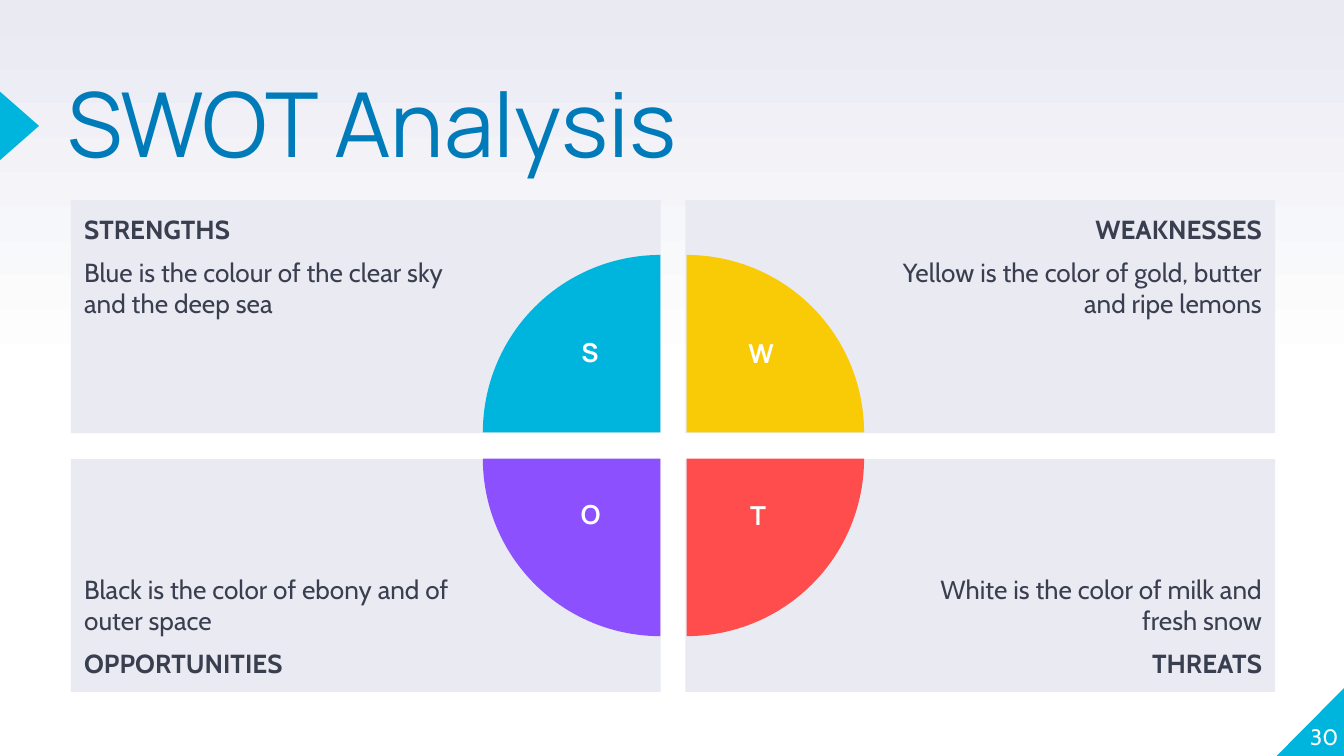
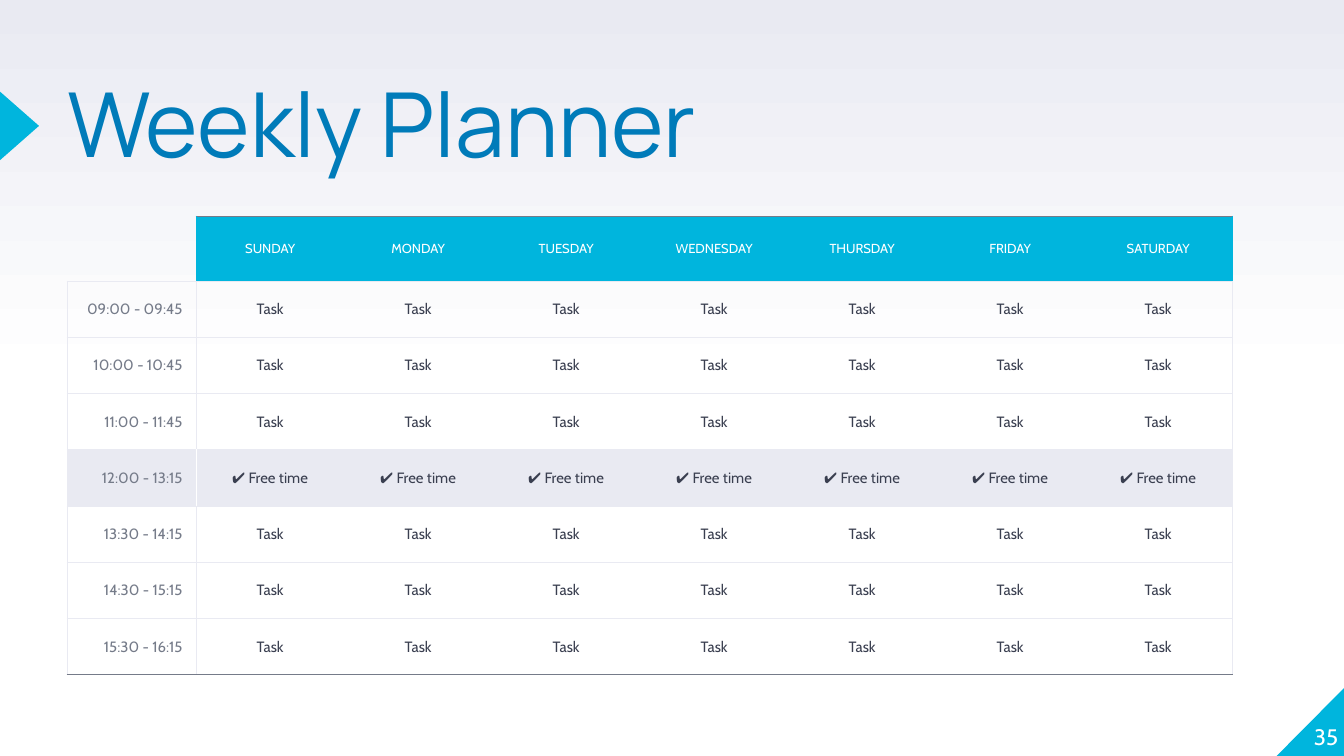
from typing import NamedTuple, Optional

from lxml import etree
from pptx import Presentation
from pptx.dml.color import RGBColor
from pptx.enum.shapes import MSO_SHAPE
from pptx.enum.text import MSO_ANCHOR, PP_ALIGN
from pptx.oxml.ns import qn
from pptx.shapes.autoshape import Shape
from pptx.slide import Slide
from pptx.table import _Cell
from pptx.text.text import TextFrame, _Paragraph
from pptx.util import Pt

WHITE = RGBColor(0xFF, 0xFF, 0xFF)
PALE = RGBColor(0xE9, 0xEA, 0xF2)
CYAN = RGBColor(0x00, 0xB5, 0xDD)
BLUE = RGBColor(0x00, 0x7B, 0xB9)
INK = RGBColor(0x3A, 0x3F, 0x50)
GREY = RGBColor(0x75, 0x7B, 0x89)
YELLOW = RGBColor(0xF9, 0xCB, 0x07)
RED = RGBColor(0xFF, 0x4D, 0x4D)
PURPLE = RGBColor(0x8C, 0x50, 0xFF)

TITLE_FONT = "Manrope"
BODY_FONT = "Cabin"

LEFT, CENTER, RIGHT = PP_ALIGN.LEFT, PP_ALIGN.CENTER, PP_ALIGN.RIGHT
TOP, MIDDLE, BOTTOM = MSO_ANCHOR.TOP, MSO_ANCHOR.MIDDLE, MSO_ANCHOR.BOTTOM
RECTANGLE, TRIANGLE = MSO_SHAPE.RECTANGLE, MSO_SHAPE.ISOSCELES_TRIANGLE
RIGHT_TRIANGLE, PIE = MSO_SHAPE.RIGHT_TRIANGLE, MSO_SHAPE.PIE

NO_GRID_STYLE = "{2D5ABB26-0587-4C30-8999-92F81FD0307C}"


class Box(NamedTuple):
    """Left, top, width and height in points."""
    left: float
    top: float
    width: float
    height: float


class Style(NamedTuple):
    font: str
    size: float
    color: RGBColor
    bold: bool = False


class Quadrant(NamedTuple):
    heading: str
    description: str
    color: RGBColor
    column: int
    row: int
    rotation: int
    letter_box: Box


TITLE = Style(TITLE_FONT, 48, BLUE)
PAGE_NUMBER = Style(BODY_FONT, 12, WHITE)
HEADING = Style(BODY_FONT, 14, INK, True)
DESCRIPTION = Style(BODY_FONT, 14, INK)
LETTER = Style(TITLE_FONT, 14, WHITE, True)
DAY = Style(BODY_FONT, 7, WHITE)
TIME = Style(BODY_FONT, 8, GREY)
TASK = Style(BODY_FONT, 8, INK)

QUADRANTS = [
    Quadrant("STRENGTHS", "Blue is the colour of the clear sky and the deep sea",
             CYAN, 0, 0, 0, Box(302.4, 176.4, 27.4, 35)),
    Quadrant("WEAKNESSES", "Yellow is the color of gold, butter and ripe lemons",
             YELLOW, 1, 0, 90, Box(382.3, 177, 51, 35)),
    Quadrant("THREATS", "White is the color of milk and fresh snow",
             RED, 1, 1, 180, Box(391.7, 264.2, 28.8, 35)),
    Quadrant("OPPORTUNITIES", "Black is the color of ebony and of outer space",
             PURPLE, 0, 1, 270, Box(299.5, 263.5, 33.8, 35)),
]
PANEL_LEFTS, PANEL_TOPS = (38, 367.2), (107.2, 245.9)
PANEL_WIDTH, PANEL_HEIGHT = 316, 124.8
PIE_LEFTS, PIE_TOPS = (258.7, 272.7), (136.6, 150.6)
PIE_SIZE = 190.2

DAYS = ["SUNDAY", "MONDAY", "TUESDAY", "WEDNESDAY", "THURSDAY", "FRIDAY", "SATURDAY"]
TIMES = ["09:00 - 09:45", "10:00 - 10:45", "11:00 - 11:45", "12:00 - 13:15",
         "13:30 - 14:15", "14:30 - 15:15", "15:30 - 16:15"]
FREE_TIME = "12:00 - 13:15"
TIME_WIDTH, DAY_WIDTH = 69.1, 79.3
HEADER_HEIGHT, TASK_HEIGHT = 34.75, 30.15


def points(box: Box) -> list[int]:
    return [Pt(value) for value in box]


def add_run(paragraph: _Paragraph, text: str, style: Style) -> None:
    run = paragraph.add_run()
    run.text = text
    font = run.font
    font.name, font.size, font.bold = style.font, Pt(style.size), style.bold
    font.color.rgb = style.color


def set_frame(frame: TextFrame, anchor: MSO_ANCHOR,
              margins: tuple[float, float, float, float]) -> None:
    """Margins are left, top, right and bottom."""
    frame.word_wrap = True
    frame.vertical_anchor = anchor
    (frame.margin_left, frame.margin_top,
     frame.margin_right, frame.margin_bottom) = [Pt(margin) for margin in margins]


def add_label(slide: Slide, box: Box, text: str, style: Style, align: PP_ALIGN = LEFT,
              anchor: MSO_ANCHOR = TOP,
              margins: tuple[float, float, float, float] = (0, 0, 0, 0)) -> _Paragraph:
    frame = slide.shapes.add_textbox(*points(box)).text_frame
    set_frame(frame, anchor, margins)
    paragraph = frame.paragraphs[0]
    paragraph.alignment = align
    add_run(paragraph, text, style)
    return paragraph


def add_filled(slide: Slide, kind: MSO_SHAPE, box: Box, color: RGBColor,
               rotation: float = 0) -> Shape:
    shape = slide.shapes.add_shape(kind, *points(box))
    shape.shadow.inherit = False
    shape.fill.solid()
    shape.fill.fore_color.rgb = color
    shape.line.fill.background()
    shape.rotation = rotation
    return shape


def add_base_slide(presentation: Presentation, title: str, number: int) -> Slide:
    """Add a slide with the background, title, marker and page corner."""
    slide = presentation.slides.add_slide(presentation.slide_layouts[6])
    fill = slide.background.fill
    fill.gradient()
    fill.gradient_angle = 90
    for stop, position, color in zip(fill.gradient_stops, (0.5, 1), (WHITE, PALE)):
        stop.position = position
        stop.color.rgb = color

    corner = add_filled(slide, RIGHT_TRIANGLE, Box(684, 368.2, 36.5, 36.8), CYAN)
    corner.element.spPr.find(qn("a:xfrm")).set("flipH", "1")
    add_filled(slide, TRIANGLE, Box(-7.9, 57, 36.7, 20.9), CYAN, 90)
    add_label(slide, Box(36, 47.5, 444, 85), title, TITLE).line_spacing = 0.8
    add_label(slide, Box(681, 365, 36, 36.7), str(number), PAGE_NUMBER, RIGHT, BOTTOM)
    return slide


def add_panel(slide: Slide, quadrant: Quadrant) -> None:
    """Draw the text panel; headings face the outer edge of the grid."""
    box = Box(PANEL_LEFTS[quadrant.column], PANEL_TOPS[quadrant.row],
              PANEL_WIDTH, PANEL_HEIGHT)
    frame = add_filled(slide, RECTANGLE, box, PALE).text_frame
    on_left, on_top = quadrant.column == 0, quadrant.row == 0
    set_frame(frame, TOP if on_top else BOTTOM,
              (7.2, 7.2, 108, 7.2) if on_left else (108, 7.2, 7.2, 7.2))
    lines = [(quadrant.heading, HEADING), (quadrant.description, DESCRIPTION)]
    first, second = frame.paragraphs[0], frame.add_paragraph()
    second.space_before = second.space_after = Pt(6)
    for paragraph, line in zip((first, second), lines if on_top else lines[::-1]):
        paragraph.alignment = LEFT if on_left else RIGHT
        add_run(paragraph, *line)


def add_swot_slide(presentation: Presentation) -> None:
    slide = add_base_slide(presentation, "SWOT Analysis", 30)
    for quadrant in QUADRANTS:
        add_panel(slide, quadrant)
    for quadrant in QUADRANTS:
        box = Box(PIE_LEFTS[quadrant.column], PIE_TOPS[quadrant.row], PIE_SIZE, PIE_SIZE)
        pie = add_filled(slide, PIE, box, quadrant.color, quadrant.rotation)
        pie.adjustments[0], pie.adjustments[1] = 108, 162
    for quadrant in QUADRANTS:
        add_label(slide, quadrant.letter_box, quadrant.heading[0], LETTER, CENTER,
                  margins=(7.2, 3.6, 7.2, 3.6))


def set_borders(cell: _Cell, borders: dict[str, Optional[RGBColor]]) -> None:
    """Draw the given sides (L, R, T, B, in that order); None leaves a side bare."""
    properties = cell._tc.get_or_add_tcPr()
    for side, color in borders.items():
        line = etree.SubElement(properties, qn(f"a:ln{side}"), w=str(Pt(0.75)))
        if color is None:
            etree.SubElement(line, qn("a:noFill"))
        else:
            fill = etree.SubElement(line, qn("a:solidFill"))
            etree.SubElement(fill, qn("a:srgbClr"), val=str(color))


def cell_borders(row: int, column: int) -> dict[str, Optional[RGBColor]]:
    header = row == 0
    if header:
        divider = CYAN
    else:
        divider = WHITE if TIMES[row - 1] == FREE_TIME else PALE
    edge = CYAN if header else PALE
    outer_left = None if header else PALE
    outer_top = GREY if column else None
    return {
        "L": {0: outer_left, 1: divider}.get(column),
        "R": {0: divider, len(DAYS): edge}.get(column),
        "T": outer_top if header else PALE,
        "B": GREY if row == len(TIMES) else PALE,
    }


def fill_cell(cell: _Cell, text: str, style: Style, align: PP_ALIGN) -> None:
    cell.vertical_anchor = MIDDLE
    cell.margin_left = cell.margin_right = cell.margin_top = cell.margin_bottom = Pt(7.2)
    paragraph = cell.text_frame.paragraphs[0]
    paragraph.alignment = align
    add_run(paragraph, text, style)


def add_planner_slide(presentation: Presentation) -> None:
    slide = add_base_slide(presentation, "Weekly Planner", 35)
    box = Box(36, 115.9, TIME_WIDTH + DAY_WIDTH * len(DAYS),
              HEADER_HEIGHT + TASK_HEIGHT * len(TIMES))
    frame = slide.shapes.add_table(len(TIMES) + 1, len(DAYS) + 1, *points(box))
    table = frame.table
    table.first_row = table.horz_banding = False
    next(frame.element.iter(qn("a:tableStyleId"))).text = NO_GRID_STYLE
    for index, column in enumerate(table.columns):
        column.width = Pt(DAY_WIDTH if index else TIME_WIDTH)
    for index, row in enumerate(table.rows):
        row.height = Pt(TASK_HEIGHT if index else HEADER_HEIGHT)

    rows = [["", *DAYS]]
    for time in TIMES:
        rows.append([time] + ["✔ Free time" if time == FREE_TIME else "Task"] * len(DAYS))
    for row, texts in enumerate(rows):
        for column, text in enumerate(texts):
            cell = table.cell(row, column)
            set_borders(cell, cell_borders(row, column))
            if row == 0 and column:
                color = CYAN
            else:
                color = PALE if texts[0] == FREE_TIME else None
            if color is None:
                cell.fill.background()
            else:
                cell.fill.solid()
                cell.fill.fore_color.rgb = color
            if text:
                style = DAY if row == 0 else TASK if column else TIME
                fill_cell(cell, text, style, CENTER if column else RIGHT)


def main() -> None:
    presentation = Presentation()
    presentation.slide_width, presentation.slide_height = Pt(720), Pt(405)
    add_swot_slide(presentation)
    add_planner_slide(presentation)
    presentation.save("out.pptx")


if __name__ == "__main__":
    main()
